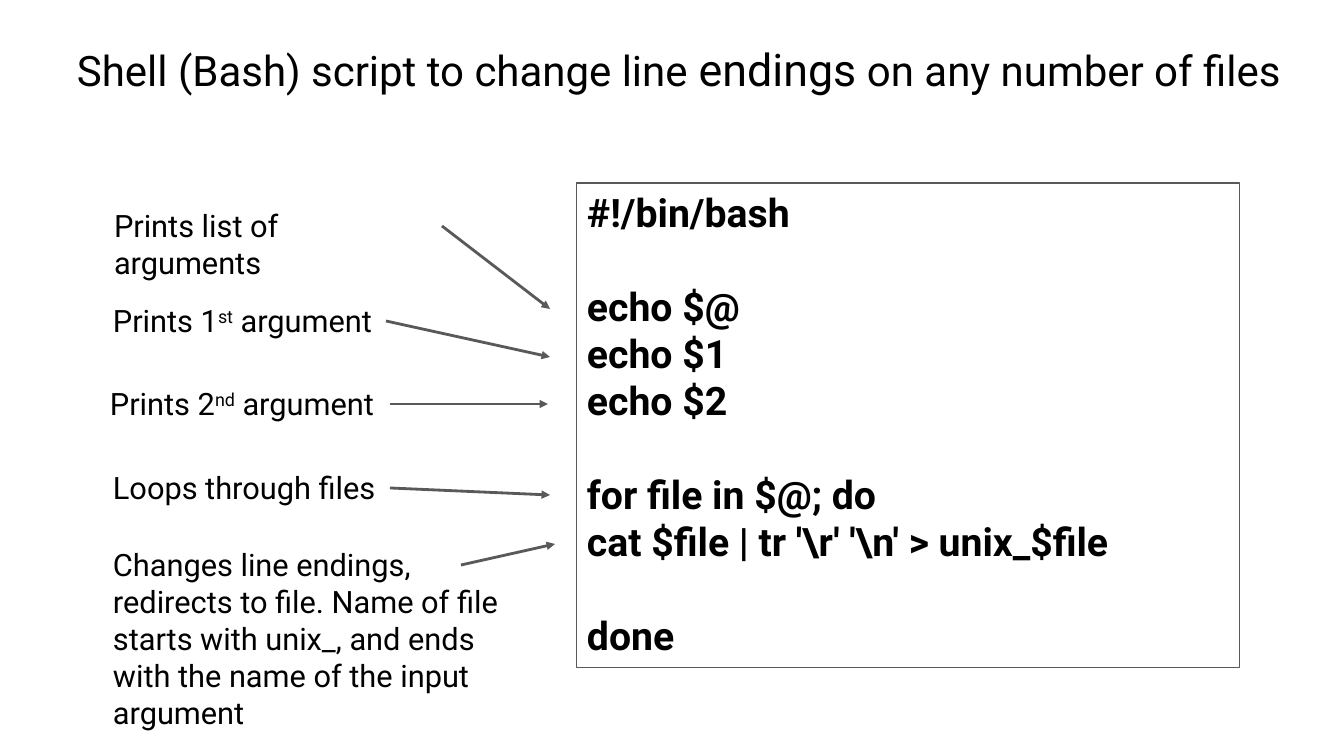
import pptx
import pptx.util
import pptx.dml.color
import pptx.enum.shapes
import pptx.enum.text
import pptx.oxml.ns
import lxml.etree

THEME = {
    "font": "Roboto", "ink": "000000", "line": "595959",
    "title": 30, "accent": 32, "code": 28, "note": 22,
    "border": 0.75, "arrow": 2, "gap": 33.6,
}
SCALE = 914400 / 100.8  # EMU in one pixel
SIZE = (1344, 756)

TITLE = [("Shell (Bash) script to change line ", "title"),
         ("endings", "accent"),
         (" on any number of files", "title")]
TITLE_BOX = (67, 37, 1253, 65)

# Blocks of code, set apart by one line of space
CODE = [
    ["#!/bin/bash"],
    ["echo $@", "echo $1", "echo $2"],
    ["for file in $@; do", "cat $file | tr '\\r' '\\n' > unix_$file"],
    ["done"],
]
CODE_BOX = (577, 183, 663, 485)

# Runs as (text, raised), box, wraps, right inset, arrow from and to
NOTES = [
    ([("Prints list of arguments", False)],
     (104, 202, 338, 47), True, 40, (442, 226, 550, 309)),
    ([("Prints 1", False), ("st", True), (" argument", False)],
     (103, 297, 282, 47), False, 10, (386, 321, 550, 357)),
    ([("Prints 2", False), ("nd", True), (" argument", False)],
     (100, 380, 290, 47), False, 10, (390, 404, 548, 404)),
    ([("Loops through files", False)],
     (103, 464, 287, 47), False, 10, (390, 488, 550, 495)),
    ([("Changes line endings, redirects to file. Name of file starts with "
       "unix_, and ends with the name of the input argument", False)],
     (103, 541, 410, 197), True, 10, (461, 565, 555, 544)),
]


def emu(vals):
    """Turn pixels into EMU."""
    return [pptx.util.Emu(round(v * SCALE)) for v in vals]


def tint(name):
    """Give a theme colour."""
    return pptx.dml.color.RGBColor.from_string(THEME[name])


def add_run(para, text, size, bold=False, raised=False):
    """Add one styled run."""
    run = para.add_run()
    run.text = text
    font = run.font
    font.name, font.size = THEME["font"], pptx.util.Pt(THEME[size])
    font.bold = bold
    font.color.rgb = tint("ink")
    if raised:
        run._r.get_or_add_rPr().set("baseline", "30000")


def set_frame(frame, wrap=True, right=10):
    """Set wrap, insets and anchor, and give the first paragraph."""
    frame.word_wrap = wrap
    frame.auto_size = pptx.enum.text.MSO_AUTO_SIZE.NONE
    frame.vertical_anchor = pptx.enum.text.MSO_ANCHOR.TOP
    (frame.margin_left, frame.margin_top,
     frame.margin_right, frame.margin_bottom) = emu((10, 5, right, 5))
    para = frame.paragraphs[0]
    para.alignment = pptx.enum.text.PP_ALIGN.LEFT
    return para


def add_title(slide):
    """Place and fill the title."""
    title = slide.shapes.title
    title.left, title.top, title.width, title.height = emu(TITLE_BOX)
    para = set_frame(title.text_frame)
    for text, size in TITLE:
        add_run(para, text, size)


def add_code(slide):
    """Draw the framed script."""
    box = slide.shapes.add_shape(
        pptx.enum.shapes.MSO_SHAPE.RECTANGLE, *emu(CODE_BOX))
    box.shadow.inherit = False
    box.fill.background()
    box.line.color.rgb = tint("line")
    box.line.width = pptx.util.Pt(THEME["border"])
    frame = box.text_frame
    para = set_frame(frame)
    for b, block in enumerate(CODE):
        for i, text in enumerate(block):
            if b or i:
                para = frame.add_paragraph()
                para.alignment = pptx.enum.text.PP_ALIGN.LEFT
            if b and not i:
                para.space_before = pptx.util.Pt(THEME["gap"])
            add_run(para, text, "code", bold=True)


def add_arrow(slide, ends):
    """Draw an arrow from a note to its code line."""
    arrow = slide.shapes.add_connector(
        pptx.enum.shapes.MSO_CONNECTOR.STRAIGHT, *emu(ends))
    arrow.line.color.rgb = tint("line")
    arrow.line.width = pptx.util.Pt(THEME["arrow"])
    name = pptx.oxml.ns.qn
    tail = lxml.etree.SubElement(
        arrow.line._get_or_add_ln(), name("a:tailEnd"))
    tail.set("type", "triangle")
    lxml.etree.SubElement(arrow._element.spPr, name("a:effectLst"))


def add_note(slide, runs, box, wrap, right):
    """Write one note."""
    frame = slide.shapes.add_textbox(*emu(box)).text_frame
    para = set_frame(frame, wrap, right)
    for text, raised in runs:
        add_run(para, text, "note", raised=raised)


def main():
    """Build and save the slide."""
    deck = pptx.Presentation()
    deck.slide_width, deck.slide_height = emu(SIZE)
    slide = deck.slides.add_slide(deck.slide_layouts[5])
    add_title(slide)
    add_code(slide)
    for runs, box, wrap, right, ends in NOTES:
        add_note(slide, runs, box, wrap, right)
        add_arrow(slide, ends)
    deck.save("out.pptx")


main()
